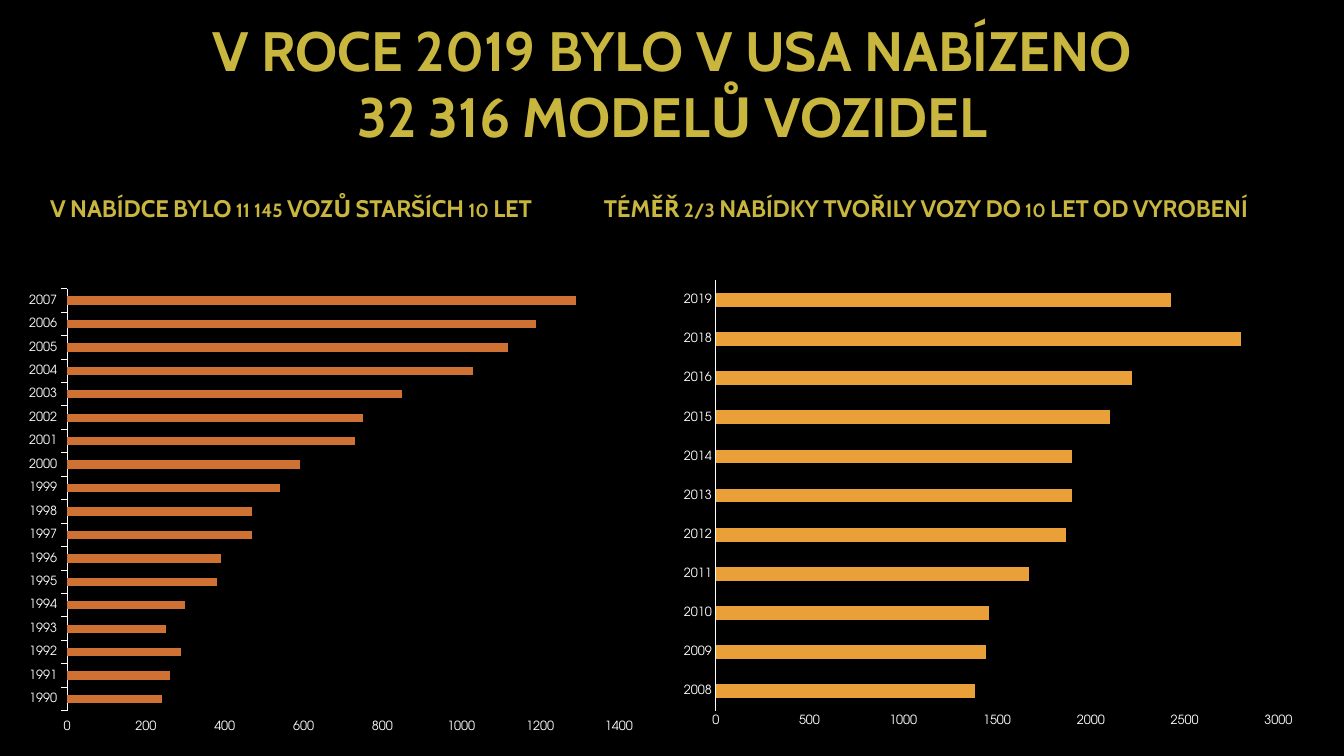
from lxml import etree
from pptx import Presentation
from pptx.chart.data import CategoryChartData
from pptx.dml.color import RGBColor
from pptx.enum.chart import XL_CHART_TYPE as ChartType, XL_TICK_MARK as Tick
from pptx.enum.text import MSO_ANCHOR as Anchor, PP_ALIGN as Align
from pptx.oxml.ns import qn
from pptx.util import Inches, Pt

COLORS = {"back": "000000", "gold": "C9B63F", "text": "FFFFFF",
          "older": "CF7133", "newer": "E9A039"}
HEADING_FONT = "Cabin"
CHART_FONT = "TeX Gyre Adventor"

TITLE_LINES = ["V ROCE 2019 BYLO V USA NABÍZENO", "32 316 MODELŮ VOZIDEL"]

OLDER_CARS = dict(zip(range(1990, 2008), [
    240, 260, 290, 250, 300, 380, 390, 470, 470,
    540, 590, 730, 750, 850, 1030, 1120, 1190, 1290]))
NEWER_CARS = dict(zip([*range(2008, 2017), 2018, 2019], [
    1380, 1440, 1460, 1670, 1870, 1900, 1900, 2100, 2220, 2800, 2430]))


def color(name):
    return RGBColor.from_string(COLORS[name])


def style_font(font, name, size, tone, bold=False):
    font.name = name
    font.size = Pt(size)
    font.bold = bold
    font.color.rgb = color(tone)


def add_title(page, box):
    title = page.shapes.title
    title.left, title.top, title.width, title.height = map(Inches, box)
    frame = title.text_frame
    frame.word_wrap = True
    frame.vertical_anchor = Anchor.MIDDLE
    frame.margin_top, frame.margin_bottom = 0, Inches(0.46)
    para = frame.paragraphs[0]
    para.alignment = Align.CENTER
    para.line_spacing = 1.0
    for index, line in enumerate(TITLE_LINES):
        if index:
            para.add_line_break()
        span = para.add_run()
        span.text = line
        style_font(span.font, HEADING_FONT, 39.6, "gold", bold=True)


def add_heading(page, box, text):
    frame = page.shapes.add_textbox(*map(Inches, box)).text_frame
    frame.word_wrap = True
    frame.vertical_anchor = Anchor.MIDDLE
    span = frame.paragraphs[0].add_run()
    span.text = text
    style_font(span.font, HEADING_FONT, 17.1, "gold", bold=True)
    span._r.get_or_add_rPr().set("cap", "small")


def set_plot_layout(chart, plot_box):
    """Fix the inner plot area, given as fractions of the chart."""
    area = chart._chartSpace.chart.plotArea
    for old in area.findall(qn("c:layout")):
        area.remove(old)
    layout = etree.Element(qn("c:layout"))
    manual = etree.SubElement(layout, qn("c:manualLayout"))
    settings = [("layoutTarget", "inner"), ("xMode", "edge"), ("yMode", "edge"),
                *zip("xywh", plot_box)]
    for tag, value in settings:
        etree.SubElement(manual, qn(f"c:{tag}")).set("val", str(value))
    area.insert(0, layout)


def add_bars(page, box, cars, tone, tick, top_value, step, plot_box):
    data = CategoryChartData()
    data.categories = [str(year) for year in cars]
    data.add_series("Series 1", list(cars.values()))
    chart = page.shapes.add_chart(
        ChartType.BAR_CLUSTERED, *map(Inches, box), data).chart
    chart.has_legend = False
    chart.has_title = False
    style_font(chart.font, CHART_FONT, 10, "text")

    plot = chart.plots[0]
    plot.gap_width = 182
    plot.vary_by_categories = False
    fill = plot.series[0].format.fill
    fill.solid()
    fill.fore_color.rgb = color(tone)

    years, counts = chart.category_axis, chart.value_axis
    for axis in (years, counts):
        axis.has_major_gridlines = False
        axis.major_tick_mark = tick
        axis.minor_tick_mark = Tick.NONE
        style_font(axis.tick_labels.font, CHART_FONT, 9, "text")
    years.format.line.color.rgb = color("text")
    years.format.line.width = Pt(0.75)
    counts.format.line.fill.background()
    counts.minimum_scale, counts.maximum_scale = 0, top_value
    counts.major_unit = step
    set_plot_layout(chart, plot_box)


def main():
    deck = Presentation()
    deck.slide_width, deck.slide_height = Inches(13.33), Inches(7.5)
    page = deck.slides.add_slide(deck.slide_layouts[5])
    page.background.fill.solid()
    page.background.fill.fore_color.rgb = color("back")

    add_title(page, (1.25, 0.18, 10.83, 1.73))
    add_heading(page, (0.4, 1.8, 5.4, 0.53),
                "V NABÍDCE BYLO 11 145 VOZŮ STARŠÍCH 10 LET")
    add_heading(page, (5.89, 1.8, 7.04, 0.53),
                "TÉMĚŘ 2/3 NABÍDKY TVOŘILY VOZY DO 10 LET OD VYROBENÍ")
    add_bars(page, (0.23, 2.86, 6.22, 4.46), OLDER_CARS, "older",
             Tick.OUTSIDE, 1400, 200, (0.07, 0, 0.88, 0.94))
    add_bars(page, (6.66, 2.69, 6.27, 4.64), NEWER_CARS, "newer",
             Tick.NONE, 3000, 500, (0.07, 0.02, 0.89, 0.92))
    deck.save("out.pptx")


if __name__ == "__main__":
    main()
